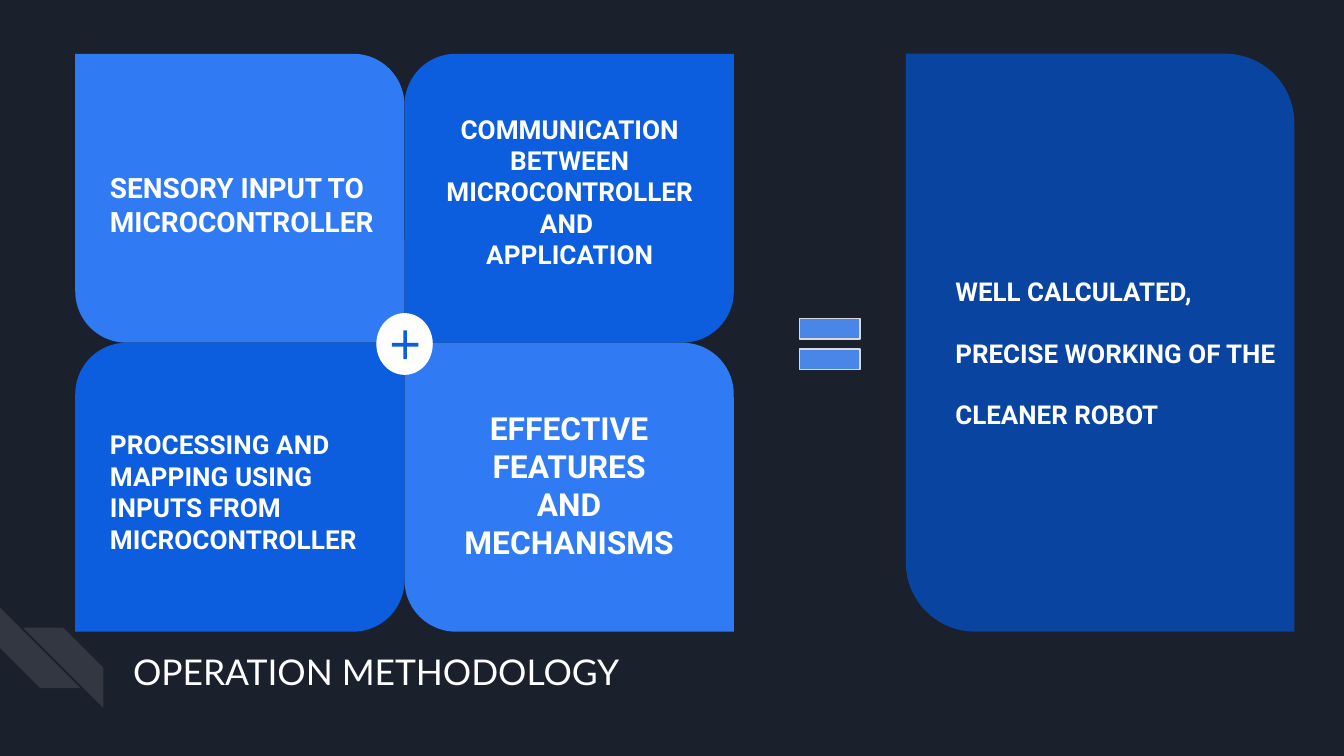
from lxml import etree
from pptx import Presentation
from pptx import util as u
from pptx.dml import color
from pptx.enum import shapes, text
from pptx.oxml import ns

PX = 9144  # EMU per px, 100 px to the inch
WIDE = 1000
KIND = shapes.MSO_SHAPE
LEFT, MID = text.PP_ALIGN.LEFT, text.PP_ALIGN.CENTER

WHITE, LIGHT, BLUE, NAVY = "FFFFFF", "307BF3", "0D5DDF", "0944A1"
GRID_X, GRID_Y, TILE_W, TILE_H = 56, 40, 245, 215
ROUND = 0.178

# label lines, size, alignment, label box
TILES = [
    (["SENSORY INPUT TO MICROCONTROLLER"], 15, LEFT, (72, 117, 224, 62)),
    (["COMMUNICATION BETWEEN MICROCONTROLLER AND ", "APPLICATION"],
     14, MID, (321, 74, 206, 149)),
    (["PROCESSING AND MAPPING USING INPUTS FROM MICROCONTROLLER"],
     14, LEFT, (72, 309, 214, 109)),
    (["EFFECTIVE FEATURES AND MECHANISMS"], 17, MID, (332, 294, 183, 138)),
]


def rgb(code):
    return color.RGBColor.from_string(code)


def emu(box):
    return [u.Emu(n * PX) for n in box]


def add_form(slide, kind, box, fill, adjs=(), line=None):
    form = slide.shapes.add_shape(kind, *emu(box))
    form.shadow.inherit = False
    for i, value in enumerate(adjs):
        form.adjustments[i] = value
    form.fill.solid()
    form.fill.fore_color.rgb = rgb(fill)
    if line:
        form.line.color.rgb = rgb(line)
        form.line.width = u.Pt(0.75)
    else:
        form.line.fill.background()
    return form


def set_text(frame, lines, size, font, bold, align):
    frame.word_wrap = True
    frame.auto_size = text.MSO_AUTO_SIZE.NONE
    frame.margin_left = frame.margin_right = u.Emu(10 * PX)
    frame.margin_top = frame.margin_bottom = u.Emu(10 * PX)
    frame.text = "\n".join(lines)
    for para in frame.paragraphs:
        para.alignment = align
        for run in para.runs:
            run.font.size = u.Pt(size)
            run.font.name = font
            run.font.bold = bold
            run.font.color.rgb = rgb(WHITE)


def add_label(slide, box, lines, size, align=LEFT):
    label = slide.shapes.add_textbox(*emu(box))
    set_text(label.text_frame, lines, size, "Roboto", True, align)
    return label


def add_stripe(slide, box, turn):
    """Draw a corner stripe in white at 10 % opacity."""
    stripe = add_form(slide, KIND.DIAGONAL_STRIPE, box, WHITE, [0.5])
    stripe.rotation = turn
    tint = stripe._element.spPr.find(ns.qn("a:solidFill"))[0]
    etree.SubElement(tint, ns.qn("a:alpha")).set("val", "10000")


def add_title(slide, words, box):
    title = slide.shapes.title
    title.left, title.top, title.width, title.height = emu(box)
    set_text(title.text_frame, [words], 19, "Lato", False, LEFT)
    title.text_frame.vertical_anchor = text.MSO_ANCHOR.MIDDLE


def add_tiles(slide):
    for i, (lines, size, align, box) in enumerate(TILES):
        row, col = divmod(i, 2)
        place = (GRID_X + col * TILE_W, GRID_Y + row * TILE_H, TILE_W, TILE_H)
        fill, adjs = (LIGHT, (0, ROUND)) if row == col else (BLUE, (ROUND, 0))
        add_form(slide, KIND.ROUND_2_DIAG_RECTANGLE, place, fill, adjs)
        add_label(slide, box, lines, size, align)


def add_result(slide):
    add_form(slide, KIND.ROUND_2_DIAG_RECTANGLE,
             (674, GRID_Y, 289, 2 * TILE_H), NAVY, (0, ROUND))
    label = add_label(slide, (701, 173, 262, 155),
                      ["WELL CALCULATED, PRECISE WORKING OF THE CLEANER ROBOT"], 24)
    run = label.text_frame.paragraphs[0].runs[0]
    run._r.get_or_add_rPr().set("baseline", "-25000")


def main():
    deck = Presentation()
    deck.slide_width = u.Emu(WIDE * PX)
    deck.slide_height = u.Emu(WIDE * PX * 9 // 16)
    slide = deck.slides.add_slide(deck.slide_layouts[5])
    slide.background.fill.solid()
    slide.background.fill.fore_color.rgb = rgb("1B212C")

    add_stripe(slide, (0, 452, 60, 60), 270)
    add_stripe(slide, (17, 467, 60, 60), 90)
    add_title(slide, "OPERATION METHODOLOGY", (89, 471, 759, 57))
    add_result(slide)
    add_tiles(slide)
    add_form(slide, KIND.OVAL, (280, 233, 42, 46), WHITE)
    add_form(slide, KIND.MATH_PLUS, (288, 242, 27, 29), BLUE, [0.099])
    add_form(slide, KIND.MATH_EQUAL, (587, 224, 61, 64), "4A86E8",
             (0.235, 0.118), "D9D9D9")
    deck.save("out.pptx")


if __name__ == "__main__":
    main()
